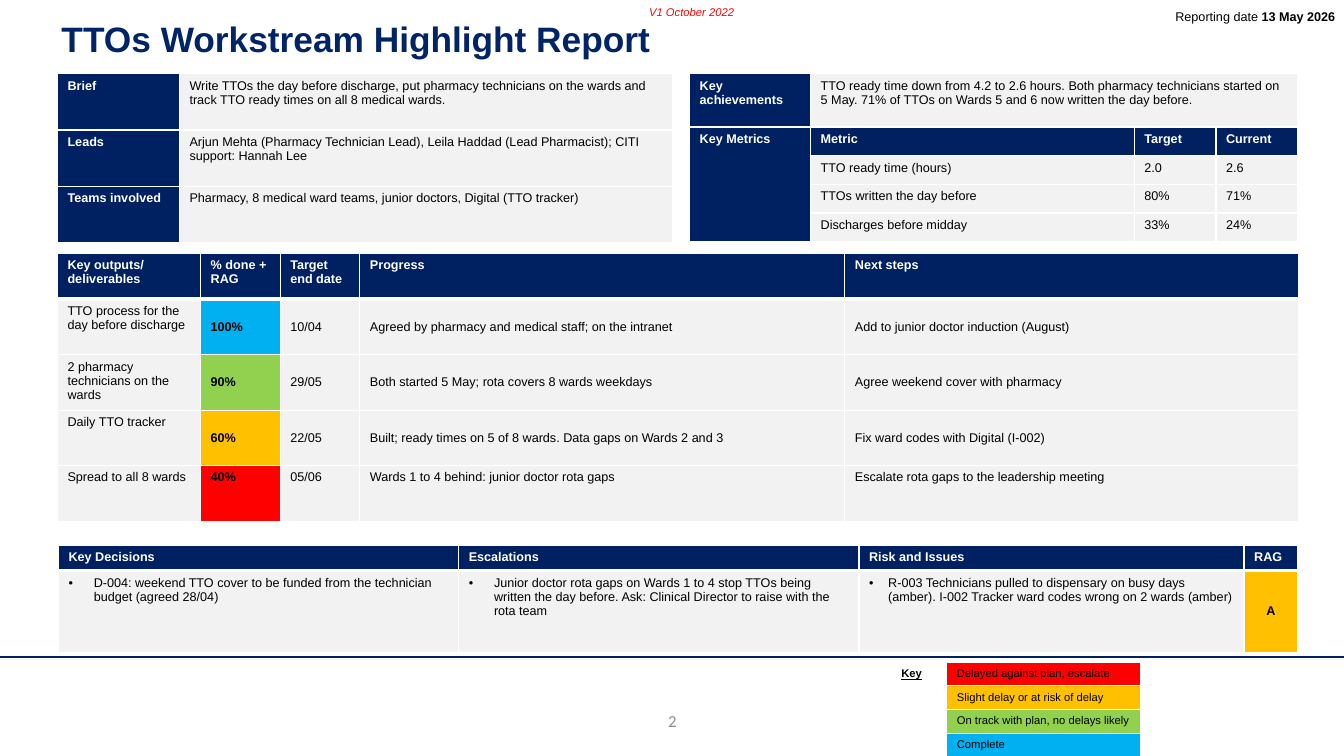
"""Build the TTOs workstream highlight report slide."""
from dataclasses import dataclass

from lxml import etree
from pptx import Presentation
from pptx import util as u
from pptx.dml.color import RGBColor
from pptx.enum import shapes, text
from pptx.oxml import ns


@dataclass(frozen=True)
class Theme:
    """Hold the colours, fonts and type sizes."""
    navy: str = "002161"
    metric_navy: str = "002060"
    title: str = "012467"
    pale: str = "F2F2F2"
    white: str = "FFFFFF"
    black: str = "000000"
    grey: str = "8C8C8C"
    red: str = "FF0000"
    amber: str = "FFC000"
    green: str = "92D050"
    blue: str = "00B0F0"
    font: str = "Arial"
    number_font: str = "Calibri"
    title_size: float = 25.2
    number_size: float = 12
    body_size: float = 9
    small_size: float = 8


THEME = Theme()
LEFT, CENTRE, RIGHT = text.PP_ALIGN.LEFT, text.PP_ALIGN.CENTER, text.PP_ALIGN.RIGHT
TOP, MIDDLE = text.MSO_ANCHOR.TOP, text.MSO_ANCHOR.MIDDLE


@dataclass
class Cell:
    """Describe the content and look of one table cell."""
    words: str = ""
    fill: str | None = THEME.pale
    color: str = THEME.black
    bold: bool = False
    underline: bool = False
    anchor: text.MSO_ANCHOR = TOP
    align: text.PP_ALIGN = LEFT
    indent: float = 0
    margin: float = 0.05


def head(words="", fill=THEME.navy):
    """Describe a navy heading cell."""
    return Cell(words, fill, THEME.white, bold=True)


def rag(words, fill, **options):
    """Describe a status cell in its status colour."""
    return Cell(words, fill, bold=True, **options)


def deliverable_row(name, done, status, date, progress, next_step, **options):
    """Describe one row of the deliverables table."""
    details = [Cell(words, **options) for words in (date, progress, next_step)]
    margin = options.get("margin", 0.05)
    return [Cell(name, margin=margin), rag(done, status, **options), *details]


def add_run(paragraph, words, size, color, font=THEME.font, bold=False, italic=False, underline=False):
    """Add one formatted run to a paragraph."""
    run = paragraph.add_run()
    run.text = words
    run.font.name = font
    run.font.size = u.Pt(size)
    run.font.bold = bold
    run.font.italic = italic
    run.font.underline = underline
    run.font.color.rgb = RGBColor.from_string(color)


def add_text(slide, box, runs, align=LEFT, anchor=TOP, wrap=True):
    """Add a text box whose runs are given as keyword sets."""
    shape = slide.shapes.add_textbox(*map(u.Inches, box))
    frame = shape.text_frame
    frame.word_wrap = wrap
    frame.vertical_anchor = anchor
    frame.paragraphs[0].alignment = align
    for run in runs:
        add_run(frame.paragraphs[0], **run)


def set_title(slide, words, box):
    """Place and format the title placeholder."""
    title = slide.shapes.title
    title.left, title.top, title.width, title.height = map(u.Inches, box)
    title.text_frame.vertical_anchor = MIDDLE
    paragraph = title.text_frame.paragraphs[0]
    paragraph.alignment = LEFT
    paragraph.line_spacing = 0.9
    add_run(paragraph, words, THEME.title_size, THEME.title, bold=True)


def add_rule(slide, top, width):
    """Draw the full-width footer rule."""
    line = slide.shapes.add_connector(
        shapes.MSO_CONNECTOR.STRAIGHT, 0, u.Inches(top), u.Inches(width), u.Inches(top))
    line.line.color.rgb = RGBColor.from_string(THEME.navy)
    line.line.width = u.Pt(1)
    etree.SubElement(line._element.spPr, ns.qn("a:effectLst"))


def set_borders(cell, widths):
    """Give a cell white borders of the given widths in points."""
    properties = cell._tc.get_or_add_tcPr()
    for side, width in widths.items():
        line = etree.SubElement(properties, ns.qn(f"a:ln{side}"), w=str(u.Pt(width)))
        fill = etree.SubElement(line, ns.qn("a:solidFill"))
        etree.SubElement(fill, ns.qn("a:srgbClr"), val=THEME.white)


def add_bullet(paragraph, indent):
    """Give a paragraph a hanging bullet."""
    properties = paragraph._p.get_or_add_pPr()
    properties.set("marL", str(u.Inches(indent)))
    properties.set("indent", str(-u.Inches(indent)))
    etree.SubElement(properties, ns.qn("a:buFont"), typeface=THEME.font)
    etree.SubElement(properties, ns.qn("a:buChar"), char="•")


def fill_cell(cell, content, size):
    """Write and format one table cell."""
    if content.fill:
        cell.fill.solid()
        cell.fill.fore_color.rgb = RGBColor.from_string(content.fill)
    else:
        cell.fill.background()
    cell.vertical_anchor = content.anchor
    cell.margin_top = cell.margin_bottom = u.Inches(content.margin)
    if not content.words:
        return
    for number, words in enumerate(content.words.split("\n")):
        frame = cell.text_frame
        paragraph = frame.add_paragraph() if number else frame.paragraphs[0]
        paragraph.alignment = content.align
        if content.indent:
            add_bullet(paragraph, content.indent)
        add_run(paragraph, words, size, content.color, bold=content.bold, underline=content.underline)


def add_table(slide, left, top, columns, heights, rows, size=THEME.body_size, border=1, head_border=None, merges=()):
    """Add a table, with an optional thicker border under its first row."""
    box = map(u.Inches, (left, top, sum(columns), sum(heights)))
    table = slide.shapes.add_table(len(rows), len(columns), *box).table
    table.first_row = table.horz_banding = False
    for column, width in zip(table.columns, columns):
        column.width = u.Inches(width)
    for row, height in zip(table.rows, heights):
        row.height = u.Inches(height)
    for first, last in merges:
        table.cell(*first).merge(table.cell(*last))
    for row_number, row in enumerate(rows):
        widths = dict.fromkeys("LRTB", border)
        if head_border and row_number < 2:
            widths["T" if row_number else "B"] = head_border
        for column_number, content in enumerate(row):
            cell = table.cell(row_number, column_number)
            set_borders(cell, widths)
            fill_cell(cell, content, size)


def main():
    """Build and save the slide."""
    presentation = Presentation()
    presentation.slide_width, presentation.slide_height = u.Inches(13.33), u.Inches(7.5)
    slide = presentation.slides.add_slide(presentation.slide_layouts[5])
    add_rule(slide, 6.52, 13.33)
    set_title(slide, "TTOs Workstream Highlight Report", (0.51, 0.04, 9, 0.74))
    add_text(slide, (5.62, 6.95, 2.1, 0.4), [
        dict(words="2", size=THEME.number_size, color=THEME.grey, font=THEME.number_font)], CENTRE, MIDDLE)

    brief = [
        ("Brief", "Write TTOs the day before discharge, put pharmacy technicians on the wards and track TTO ready times on all 8 medical wards."),
        ("Leads", "Arjun Mehta (Pharmacy Technician Lead), Leila Haddad (Lead Pharmacist); CITI support: Hannah Lee"),
        ("Teams involved", "Pharmacy, 8 medical ward teams, junior doctors, Digital (TTO tracker)")]
    add_table(slide, 0.57, 0.73, [1.21, 4.89], [0.56] * 3, [[head(name), Cell(words)] for name, words in brief])

    metrics = [("TTO ready time (hours)", "2.0", "2.6"), ("TTOs written the day before", "80%", "71%"),
               ("Discharges before midday", "33%", "24%")]
    achievements = "TTO ready time down from 4.2 to 2.6 hours. Both pharmacy technicians started on 5 May. 71% of TTOs on Wards 5 and 6 now written the day before."
    add_table(slide, 6.84, 0.73, [1.2, 3.21, 0.81, 0.81], [0.53] + [0.285] * 4, [
        [head("Key achievements"), Cell(achievements), Cell(), Cell()],
        [head("Key Metrics"), *(head(name, THEME.metric_navy) for name in ("Metric", "Target", "Current"))],
        *([head(), *map(Cell, metric)] for metric in metrics)],
        merges=[((0, 1), (0, 3)), ((1, 0), (4, 0))])

    add_table(slide, 0.58, 5.41, [3.97, 3.97, 3.82, 0.53], [0.24, 0.81], [
        [head(name) for name in ("Key Decisions", "Escalations", "Risk and Issues", "RAG")],
        [Cell("D-004: weekend TTO cover to be funded from the technician budget (agreed 28/04)", indent=0.25),
         Cell("Junior doctor rota gaps on Wards 1 to 4 stop TTOs being written the day before. Ask: Clinical Director to raise with the rota team", indent=0.25),
         Cell("R-003 Technicians pulled to dispensary on busy days (amber). I-002 Tracker ward codes wrong on 2 wards (amber)", indent=0.19),
         rag("A", THEME.amber, anchor=MIDDLE, align=CENTRE)]], head_border=3)

    add_table(slide, 0.57, 2.51, [1.42, 0.79, 0.79, 4.81, 4.5], [0.46] + [0.55] * 4, [
        [head(name) for name in ("Key outputs/\ndeliverables", "% done + RAG", "Target end date", "Progress", "Next steps")],
        deliverable_row("TTO process for the day before discharge", "100%", THEME.blue, "10/04",
                        "Agreed by pharmacy and medical staff; on the intranet", "Add to junior doctor induction (August)", anchor=MIDDLE),
        deliverable_row("2 pharmacy technicians on the wards", "90%", THEME.green, "29/05",
                        "Both started 5 May; rota covers 8 wards weekdays", "Agree weekend cover with pharmacy", anchor=MIDDLE),
        deliverable_row("Daily TTO tracker", "60%", THEME.amber, "22/05",
                        "Built; ready times on 5 of 8 wards. Data gaps on Wards 2 and 3", "Fix ward codes with Digital (I-002)", anchor=MIDDLE),
        deliverable_row("Spread to all 8 wards", "40%", THEME.red, "05/06",
                        "Wards 1 to 4 behind: junior doctor rota gaps", "Escalate rota gaps to the leadership meeting", margin=0.04)],
        head_border=3)

    statuses = [("Delayed against plan, escalate", THEME.red), ("Slight delay or at risk of delay", THEME.amber),
                ("On track with plan, no delays likely", THEME.green), ("Complete", THEME.blue)]
    add_table(slide, 8.84, 6.57, [0.55, 1.92], [0.23] * 4, [
        [Cell("" if number else "Key", None, bold=True, underline=True), Cell(*status)]
        for number, status in enumerate(statuses)], THEME.small_size, 0.5, merges=[((0, 0), (3, 0))])

    add_text(slide, (10.89, 0.04, 2.45, 0.25), [
        dict(words="Reporting date ", size=THEME.body_size, color=THEME.black),
        dict(words="13 May 2026", size=THEME.body_size, color=THEME.black, bold=True)], RIGHT)
    add_text(slide, (6.34, 0, 1.06, 0.24), [
        dict(words="V1 October 2022", size=THEME.small_size, color=THEME.red, italic=True)], wrap=False)
    presentation.save("out.pptx")


if __name__ == "__main__":
    main()
